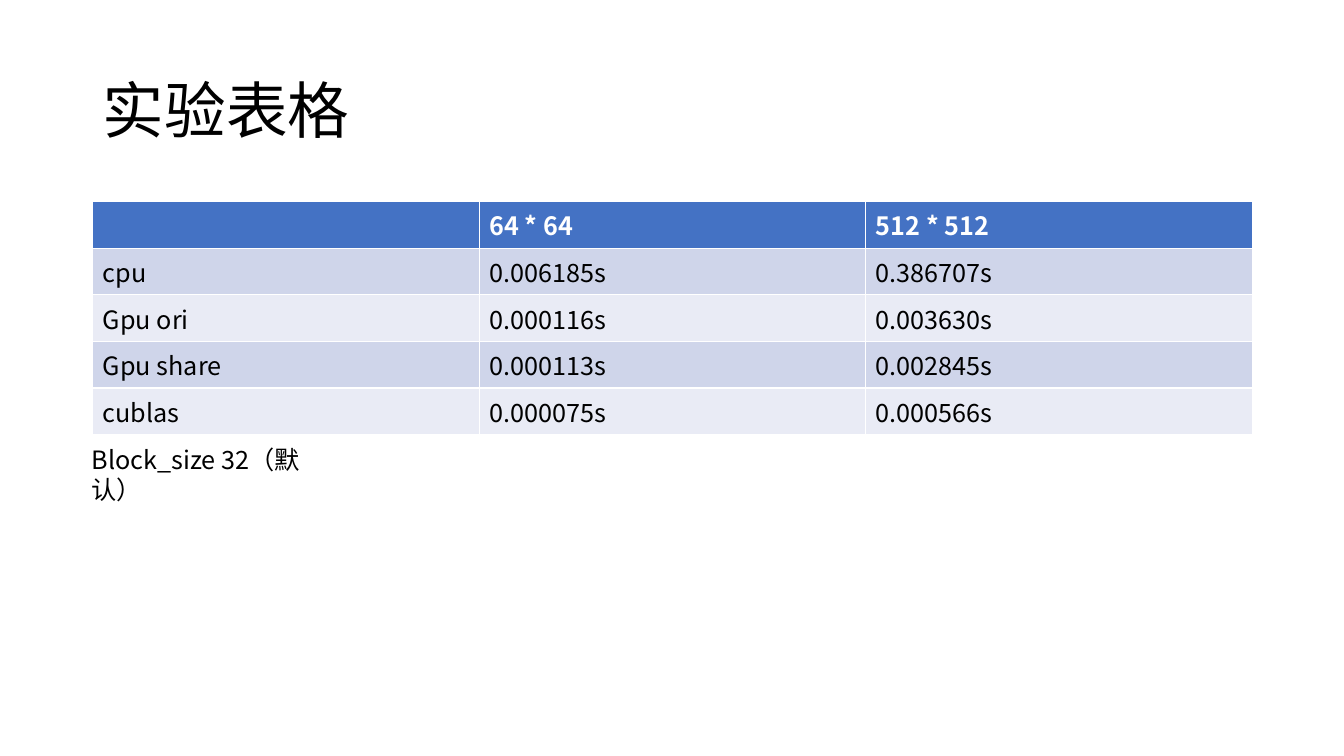
from dataclasses import dataclass

from lxml import etree
from pptx import Presentation
from pptx.dml.color import RGBColor
from pptx.enum.text import MSO_ANCHOR, MSO_AUTO_SIZE, PP_ALIGN
from pptx.oxml.ns import qn
from pptx.util import Inches, Pt

LEFT = PP_ALIGN.LEFT
MIDDLE = MSO_ANCHOR.MIDDLE
NO_AUTOFIT = MSO_AUTO_SIZE.NONE
GROW_SHAPE = MSO_AUTO_SIZE.SHAPE_TO_FIT_TEXT
TITLE_ONLY = 5


@dataclass(frozen=True)
class Theme:
    """Colours, font and type sizes of the slide."""
    font: str = "Noto Sans CJK SC"
    title_size: int = 44
    body_size: int = 18
    text: str = "000000"
    header_text: str = "FFFFFF"
    header_fill: str = "4472C4"
    bands: tuple = ("CFD5EA", "E9EBF5")


theme = Theme()


def format_text(text_frame, size, color, bold=False):
    """Format every run, with one font for Latin and East Asian text."""
    for paragraph in text_frame.paragraphs:
        paragraph.alignment = LEFT
        for run in paragraph.runs:
            font = run.font
            font.name = theme.font
            font.size = Pt(size)
            font.bold = bold
            font.color.rgb = RGBColor.from_string(color)
            latin = font._element.find(qn("a:latin"))
            east_asian = etree.Element(qn("a:ea"), typeface=theme.font)
            latin.addnext(east_asian)


presentation = Presentation()
presentation.slide_width = Inches(13.33)
presentation.slide_height = Inches(7.5)
slide = presentation.slides.add_slide(presentation.slide_layouts[TITLE_ONLY])

# Title
title = slide.shapes.title
title.left, title.top = Inches(0.92), Inches(0.4)
title.width, title.height = Inches(11.5), Inches(1.45)
title.text_frame.text = "实验表格"
title.text_frame.vertical_anchor = MIDDLE
title.text_frame.auto_size = NO_AUTOFIT
title.text_frame.paragraphs[0].line_spacing = 0.9
format_text(title.text_frame, theme.title_size, theme.text)

# Timing table
timings = [
    ("", "64 * 64", "512 * 512"),
    ("cpu", "0.006185s", "0.386707s"),
    ("Gpu ori", "0.000116s", "0.003630s"),
    ("Gpu share", "0.000113s", "0.002845s"),
    ("cublas", "0.000075s", "0.000566s"),
]
table = slide.shapes.add_table(
    len(timings), len(timings[0]),
    Inches(0.92), Inches(2), Inches(11.5), Inches(2.03),
).table
for row_index, row in enumerate(timings):
    is_header = row_index == 0
    fill = theme.header_fill if is_header else theme.bands[(row_index - 1) % 2]
    color = theme.header_text if is_header else theme.text
    for column_index, value in enumerate(row):
        cell = table.cell(row_index, column_index)
        cell.fill.solid()
        cell.fill.fore_color.rgb = RGBColor.from_string(fill)
        if value:
            cell.text_frame.text = value
        format_text(cell.text_frame, theme.body_size, color, is_header)

# Block size note
note = slide.shapes.add_textbox(Inches(0.81), Inches(4.36), Inches(2.63), Inches(0.4))
note.text_frame.word_wrap = True
note.text_frame.auto_size = GROW_SHAPE
note.text_frame.text = "Block_size 32（默认）"
format_text(note.text_frame, theme.body_size, theme.text)

presentation.save("out.pptx")
